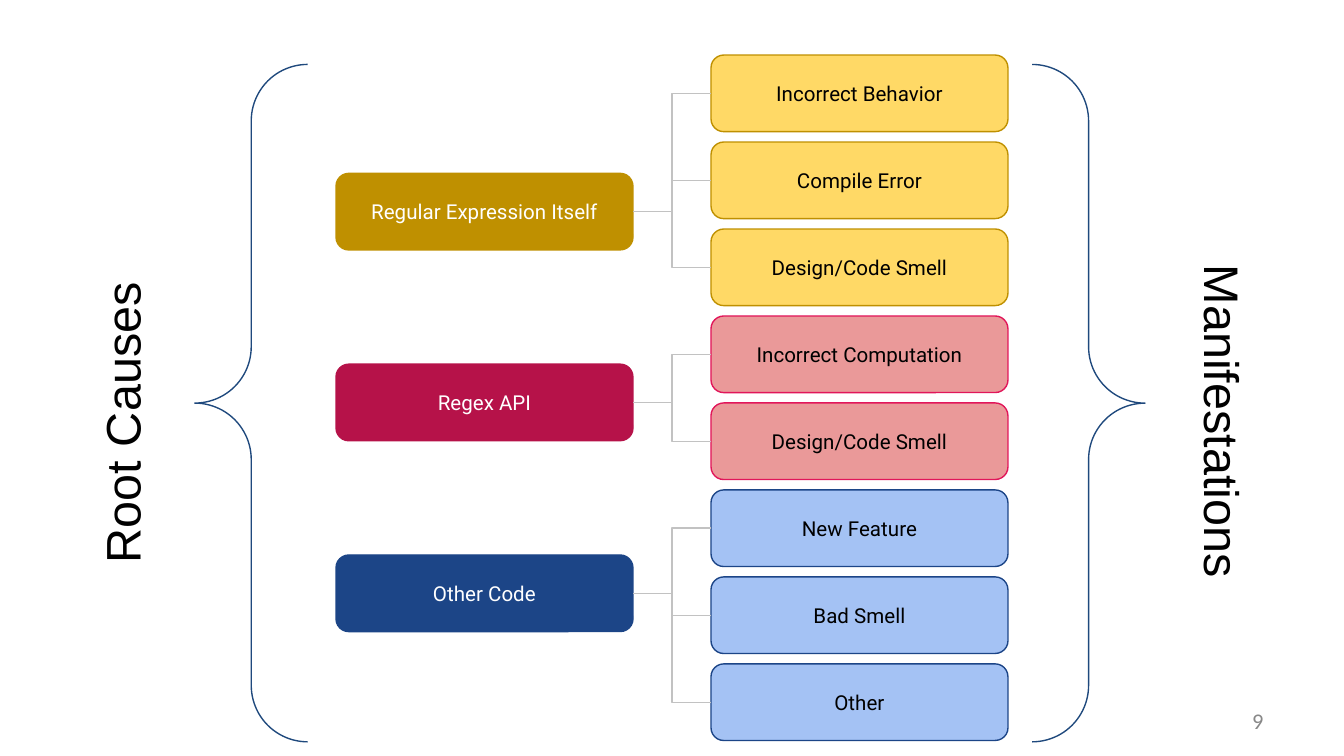
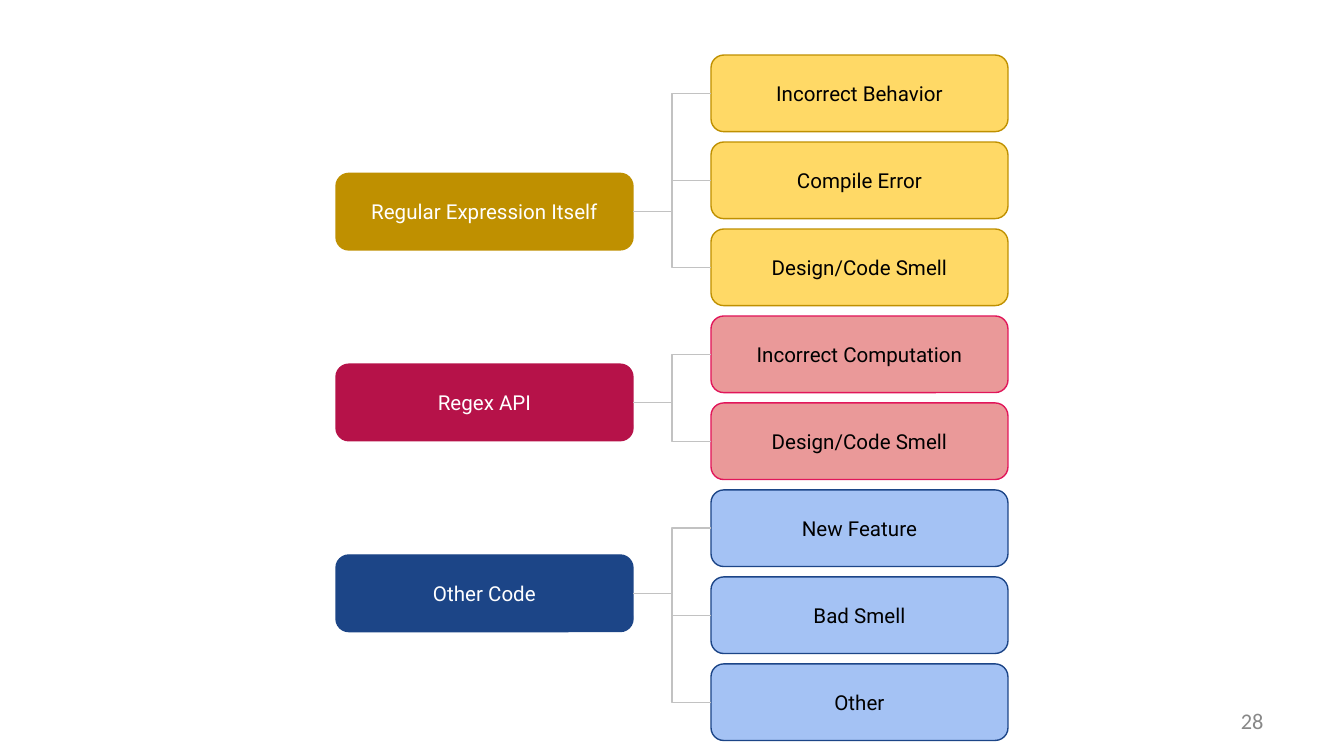
from pptx import Presentation
from pptx.dml.color import RGBColor
from pptx.enum.shapes import MSO_CONNECTOR, MSO_SHAPE
from pptx.enum.text import MSO_ANCHOR, PP_ALIGN
from pptx.oxml.ns import qn
from pptx.util import Inches, Pt
from lxml import etree

COLORS = {
    "gold": "BF9000", "yellow": "FFD966",
    "crimson": "B61249", "pink": "EA9999", "rose": "E1165A",
    "navy": "1C4587", "sky": "A4C2F4",
    "brace": "1F497D", "branch": "C2C2C2", "number": "888888",
    "white": "FFFFFF", "black": "000000",
}

# Slide and grid, in inches
SLIDE_WIDTH = 10
SLIDE_HEIGHT = SLIDE_WIDTH * 9 / 16
BOX_WIDTH, BOX_HEIGHT = 2.21, 0.57
CAUSE_LEFT = SLIDE_WIDTH / 4
EFFECT_LEFT = SLIDE_WIDTH * 3 / 4 - BOX_WIDTH
CAUSE_TOP, CAUSE_STEP = 1.29, 1.42
EFFECT_TOP, EFFECT_LAST_TOP, EFFECT_COUNT = 0.41, 4.94, 8
EFFECT_STEP = (EFFECT_LAST_TOP - EFFECT_TOP) / (EFFECT_COUNT - 1)
LEFT_SITE, RIGHT_SITE = 1, 3
LINE_WIDTH = 0.75

# Cause, its colour, colours of its manifestations (fill, line), manifestations
CAUSES = [
    ("Regular Expression Itself", "gold", "yellow", "gold",
     ["Incorrect Behavior", "Compile Error", "Design/Code Smell"]),
    ("Regex API", "crimson", "pink", "rose",
     ["Incorrect Computation", "Design/Code Smell"]),
    ("Other Code", "navy", "sky", "navy",
     ["New Feature", "Bad Smell", "Other"]),
]


def color(name):
    return RGBColor.from_string(COLORS[name])


def set_line(item, name):
    item.line.color.rgb = color(name)
    item.line.width = Pt(LINE_WIDTH)


def write(shape, text, font, size, ink, align=PP_ALIGN.CENTER,
          anchor=MSO_ANCHOR.MIDDLE, vertical_inset=0.1):
    frame = shape.text_frame
    frame.text = text
    frame.word_wrap = True
    frame.vertical_anchor = anchor
    frame.margin_left = frame.margin_right = Inches(0.1)
    frame.margin_top = frame.margin_bottom = Inches(vertical_inset)
    para = frame.paragraphs[0]
    para.alignment = align
    span = para.runs[0]
    span.font.name = font
    span.font.size = Pt(size)
    span.font.color.rgb = color(ink)


def add_box(page, left, top, text, fill, line, ink):
    box = page.shapes.add_shape(
        MSO_SHAPE.ROUNDED_RECTANGLE, Inches(left), Inches(top),
        Inches(BOX_WIDTH), Inches(BOX_HEIGHT))
    box.shadow.inherit = False
    box.fill.solid()
    box.fill.fore_color.rgb = color(fill)
    set_line(box, line)
    write(box, text, "Roboto", 11, ink)
    return box


def add_branch(page, cause, effect):
    branch = page.shapes.add_connector(MSO_CONNECTOR.ELBOW, 0, 0, 0, 0)
    branch.begin_connect(cause, RIGHT_SITE)
    branch.end_connect(effect, LEFT_SITE)
    set_line(branch, "branch")
    etree.SubElement(branch._element.spPr, qn("a:effectLst"))


def add_tree(page):
    row = 0
    for index, (cause_text, cause_fill, fill, line, effects) in enumerate(CAUSES):
        cause = add_box(page, CAUSE_LEFT, CAUSE_TOP + index * CAUSE_STEP,
                        cause_text, cause_fill, cause_fill, "white")
        for effect_text in effects:
            effect = add_box(page, EFFECT_LEFT, EFFECT_TOP + row * EFFECT_STEP,
                             effect_text, fill, line, "black")
            add_branch(page, cause, effect)
            row += 1


def add_braces(page):
    braces = page.shapes.add_shape(
        MSO_SHAPE.DOUBLE_BRACE, Inches(1.45), Inches(0.48),
        Inches(7.07), Inches(5.04))
    braces.shadow.inherit = False
    braces.fill.background()
    set_line(braces, "brace")


def add_side_label(page, text, left, top, width, rotation):
    label = page.shapes.add_textbox(
        Inches(left), Inches(top), Inches(width), Inches(0.73))
    label.rotation = rotation
    write(label, text, "Arial", 26, "black", anchor=MSO_ANCHOR.TOP)


def add_page_number(page, number):
    box = page.shapes.add_textbox(
        Inches(7.17), Inches(5.21), Inches(2.33), Inches(0.3))
    write(box, str(number), "Calibri", 12, "number",
          align=PP_ALIGN.RIGHT, vertical_inset=0.05)


def add_page(deck, number, with_sides=False):
    page = deck.slides.add_slide(deck.slide_layouts.get_by_name("Blank"))
    if with_sides:
        add_braces(page)
    add_page_number(page, number)
    add_tree(page)
    if with_sides:
        add_side_label(page, "Root Causes", -0.31, 2.78, 2.52, 270)
        add_side_label(page, "Manifestations", 7.67, 2.77, 2.77, 90)


def main():
    deck = Presentation()
    deck.slide_width = Inches(SLIDE_WIDTH)
    deck.slide_height = Inches(SLIDE_HEIGHT)
    add_page(deck, 9, with_sides=True)
    add_page(deck, 28)
    deck.save("out.pptx")


if __name__ == "__main__":
    main()
